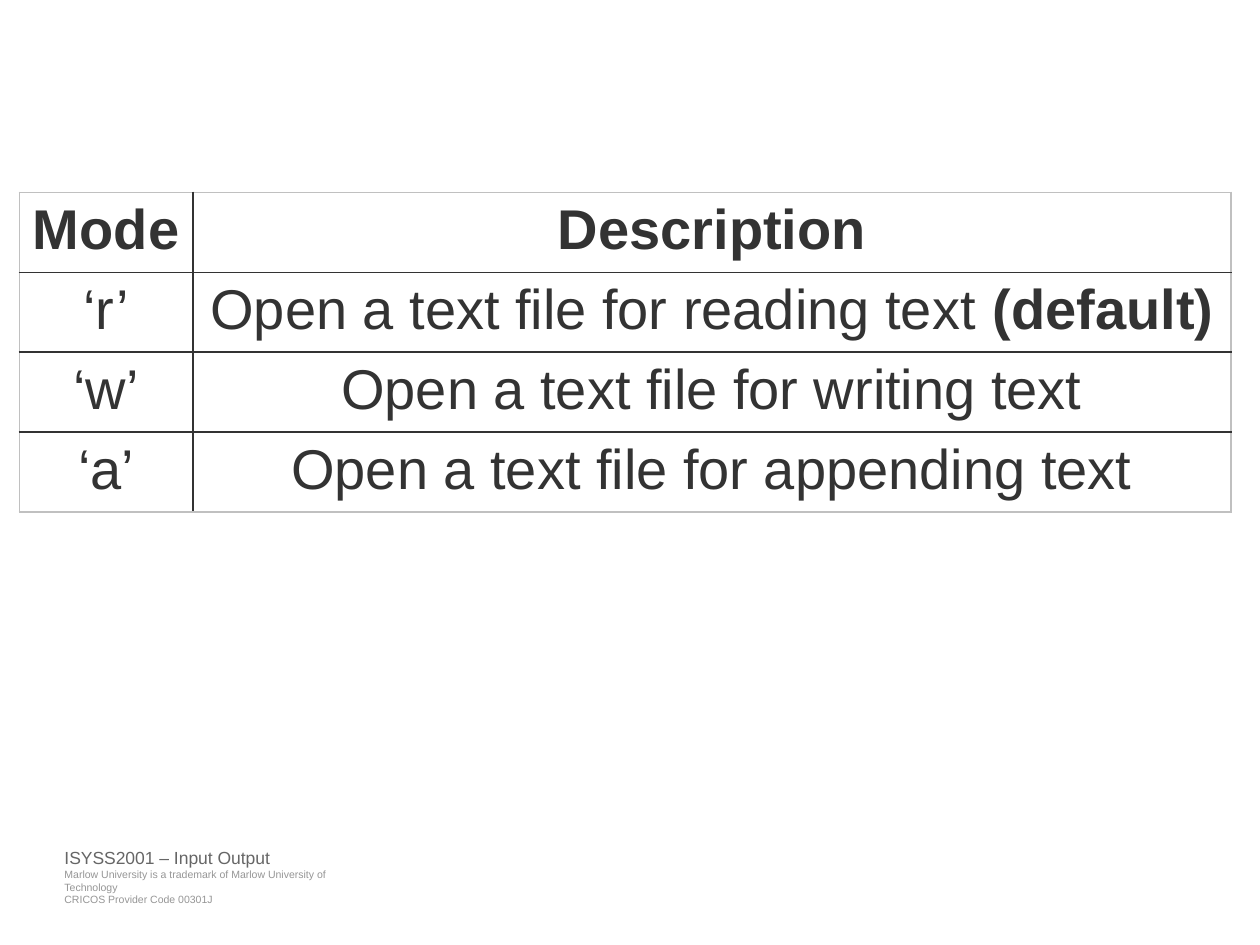
from lxml.etree import SubElement
from pptx import Presentation
from pptx.dml.color import RGBColor as RGB
from pptx.enum.text import MSO_ANCHOR as ANCHOR, PP_ALIGN as ALIGN
from pptx.oxml.ns import qn
from pptx.util import Cm, Pt

COLORS = {"text": "333333", "outer": "C0C0C0", "footer": "666666", "legal": "969696"}

# Each cell is a list of (text, bold) runs
MODES = [
    [[("Mode", True)], [("Description", True)]],
    [[("‘r’", False)], [("Open a text file for reading text ", False), ("(default)", True)]],
    [[("‘w’", False)], [("Open a text file for writing text", False)]],
    [[("‘a’", False)], [("Open a text file for appending text", False)]],
]


def style(p, size, color):
    p.font.name = "Arial"
    p.font.size = Pt(size)
    p.font.color.rgb = RGB.from_string(COLORS[color])


def add_border(cell, side, color):
    ln = SubElement(cell._tc.get_or_add_tcPr(), qn(f"a:ln{side}"), w=str(Pt(1)))
    fill = SubElement(ln, qn("a:solidFill"))
    SubElement(fill, qn("a:srgbClr"), val=COLORS[color])


def mode_table(s, left, top, col_widths, row_height):
    n_rows, n_cols = len(MODES), len(col_widths)
    table = s.shapes.add_table(n_rows, n_cols, left, top,
                               sum(col_widths), row_height * n_rows).table
    for col, width in zip(table.columns, col_widths):
        col.width = width
    for i, row in enumerate(MODES):
        table.rows[i].height = row_height
        for j, runs in enumerate(row):
            cell = table.cell(i, j)
            # Light frame outside, dark rules inside
            edges = {"L": j == 0, "R": j == n_cols - 1,
                     "T": i == 0, "B": i == n_rows - 1}
            for side, is_outer in edges.items():
                add_border(cell, side, "outer" if is_outer else "text")
            cell.fill.background()
            cell.vertical_anchor = ANCHOR.TOP
            p = cell.text_frame.paragraphs[0]
            p.alignment = ALIGN.CENTER
            style(p, 32, "text")
            for text, bold in runs:
                r = p.add_run()
                r.text = text
                r.font.bold = bold


def footer_text(s, left, top, width, height, lines, size, color):
    tf = s.shapes.add_textbox(left, top, width, height).text_frame
    tf.margin_left = tf.margin_right = tf.margin_top = tf.margin_bottom = 0
    tf.word_wrap = False
    tf.text = "\n".join(lines)
    for p in tf.paragraphs:
        style(p, size, color)


def footer(s, left, top):
    footer_text(s, left, top, Cm(4.17), Cm(0.43),
                ["ISYSS2001 – Input Output"], 10, "footer")
    footer_text(s, left, top + Cm(0.43), Cm(6.2), Cm(0.41),
                ["Marlow University is a trademark of Marlow University of Technology",
                 "CRICOS Provider Code 00301J"], 6, "legal")


def main():
    prs = Presentation()
    prs.slide_width, prs.slide_height = Cm(25.4), Cm(19.05)
    s = prs.slides.add_slide(prs.slide_layouts[6])
    mode_table(s, Cm(0.39), Cm(3.88), [Cm(3.5), Cm(20.93)], Cm(1.61))
    footer(s, Cm(1.3), Cm(17.07))
    prs.save("out.pptx")


if __name__ == "__main__":
    main()
